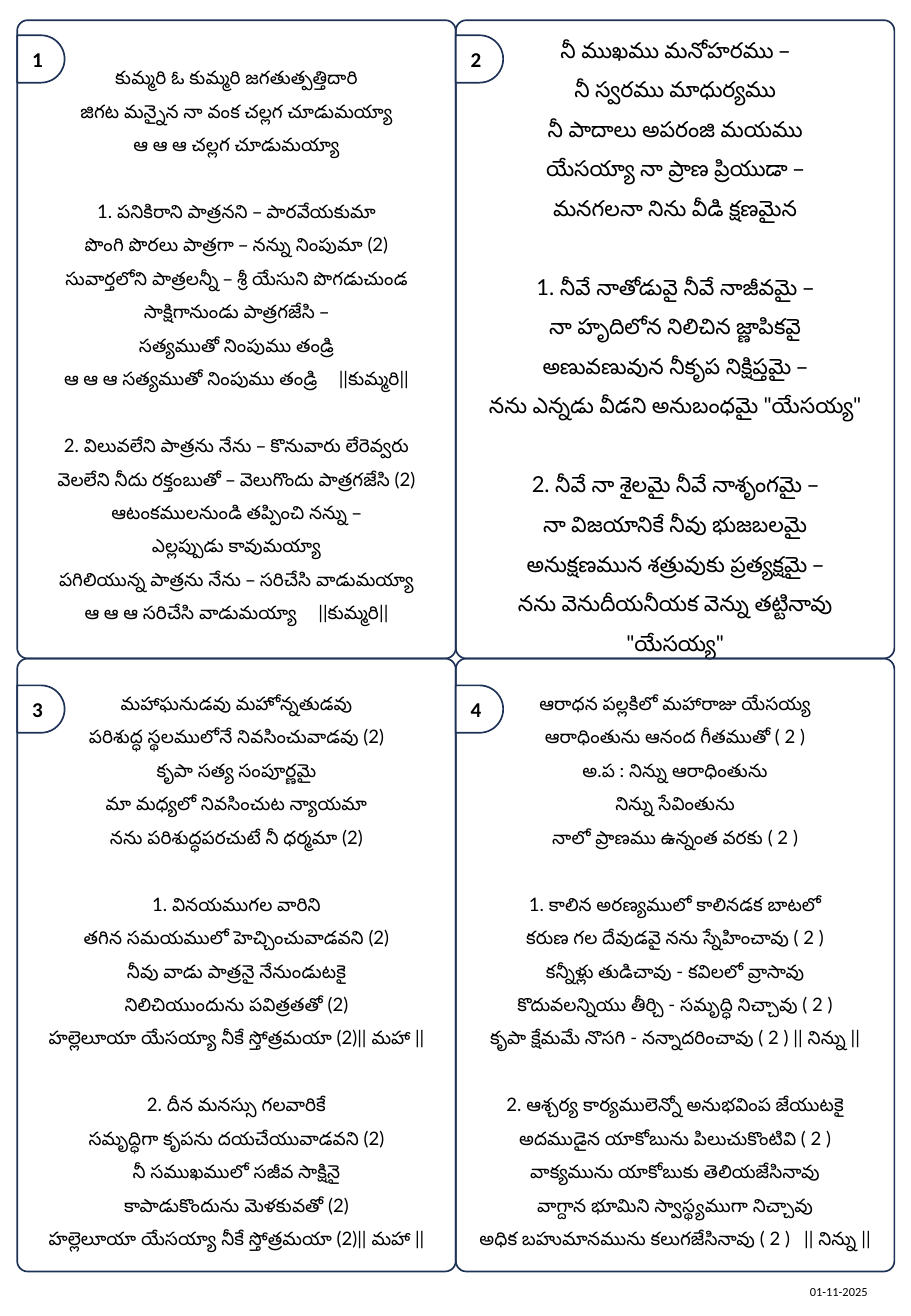
from dataclasses import dataclass

from pptx import Presentation
from pptx.dml.color import RGBColor
from pptx.enum.shapes import MSO_SHAPE
from pptx.enum.text import MSO_ANCHOR, PP_ALIGN
from pptx.shapes.autoshape import Shape
from pptx.slide import Slide
from pptx.text.text import TextFrame, _Paragraph
from pptx.util import Pt


@dataclass(frozen=True)
class Theme:
    ink: RGBColor = RGBColor(0x00, 0x00, 0x00)
    paper: RGBColor = RGBColor(0xFF, 0xFF, 0xFF)
    border: RGBColor = RGBColor(0x1E, 0x32, 0x56)
    lyric_font: str = "Lato"
    label_font: str = "Calibri"
    badge_size: float = 12.5
    date_size: float = 7.3
    border_width: float = 1
    line_spacing: float = 1.5
    single_line: float = 1.2
    corner: float = 0.024


@dataclass(frozen=True)
class Row:
    top: float
    height: float
    badge_top: float


@dataclass(frozen=True)
class Song:
    """Stanzas hold one line of text per line; a tab sets off the refrain."""
    size: float
    stanzas: tuple[str, ...]
    refrain_gap: float = 0


THEME = Theme()
LEFT, COLUMN_WIDTH, BADGE_SIDE = 10.2, 260, 28.1
ROWS = (Row(12, 378.2, 20.9), Row(390.2, 363.2, 406.1))

# Songs, in reading order
SONGS = (
    Song(11, (
        """కుమ్మరి ఓ కుమ్మరి జగతుత్పత్తిదారి
జిగట మన్నైన నా వంక చల్లగ చూడుమయ్యా
ఆ ఆ ఆ చల్లగ చూడుమయ్యా""",
        """1. పనికిరాని పాత్రనని – పారవేయకుమా
పొంగి పొరలు పాత్రగా – నన్ను నింపుమా (2)
సువార్తలోని పాత్రలన్నీ – శ్రీ యేసుని పొగడుచుండ
సాక్షిగానుండు పాత్రగజేసి –
సత్యముతో నింపుము తండ్రి
ఆ ఆ ఆ సత్యముతో నింపుము తండ్రి\t||కుమ్మరి||""",
        """2. విలువలేని పాత్రను నేను – కొనువారు లేరెవ్వరు
వెలలేని నీదు రక్తంబుతో – వెలుగొందు పాత్రగజేసి (2)
ఆటంకములనుండి తప్పించి నన్ను –
ఎల్లప్పుడు కావుమయ్యా
పగిలియున్న పాత్రను నేను – సరిచేసి వాడుమయ్యా
ఆ ఆ ఆ సరిచేసి వాడుమయ్యా\t||కుమ్మరి||""",
    ), refrain_gap=10),
    Song(13, (
        """నీ ముఖము మనోహరము –
నీ స్వరము మాధుర్యము
నీ పాదాలు అపరంజి మయము
యేసయ్యా నా ప్రాణ ప్రియుడా –
మనగలనా నిను వీడి క్షణమైన""",
        """1. నీవే నాతోడువై నీవే నాజీవమై –
నా హృదిలోన నిలిచిన జ్ణాపికవై
అణువణువున నీకృప నిక్షిప్తమై –
నను ఎన్నడు వీడని అనుబంధమై "యేసయ్య\"""",
        """2. నీవే నా శైలమై నీవే నాశృంగమై –
నా విజయానికే నీవు భుజబలమై
అనుక్షణమున శత్రువుకు ప్రత్యక్షమై –
నను వెనుదీయనీయక వెన్ను తట్టినావు "యేసయ్య\"""",
    )),
    Song(11, (
        """మహాఘనుడవు మహోన్నతుడవు
పరిశుద్ధ స్థలములోనే నివసించువాడవు (2)
కృపా సత్య సంపూర్ణమై
మా మధ్యలో నివసించుట న్యాయమా
నను పరిశుద్ధపరచుటే నీ ధర్మమా (2)""",
        """1. వినయముగల వారిని
తగిన సమయములో హెచ్చించువాడవని (2)
నీవు వాడు పాత్రనై నేనుండుటకై
నిలిచియుందును పవిత్రతతో (2)
హల్లెలూయా యేసయ్యా నీకే స్తోత్రమయా (2)|| మహా ||""",
        """2. దీన మనస్సు గలవారికే
సమృద్ధిగా కృపను దయచేయువాడవని (2)
నీ సముఖములో సజీవ సాక్షినై
కాపాడుకొందును మెళకువతో (2)
హల్లెలూయా యేసయ్యా నీకే స్తోత్రమయా (2)|| మహా ||""",
    )),
    Song(11, (
        """ఆరాధన పల్లకిలో మహారాజు యేసయ్య
ఆరాధింతును ఆనంద గీతముతో ( 2 )
అ.ప : నిన్ను ఆరాధింతును
నిన్ను సేవింతును
నాలో ప్రాణము ఉన్నంత వరకు ( 2 )""",
        """1. కాలిన అరణ్యములో కాలినడక బాటలో
కరుణ గల దేవుడవై నను స్నేహించావు ( 2 )
కన్నీళ్లు తుడిచావు - కవిలలో వ్రాసావు
కొదువలన్నియు తీర్చి - సమృద్ధి నిచ్చావు ( 2 )
కృపా క్షేమమే నొసగి - నన్నాదరించావు ( 2 ) || నిన్ను ||""",
        """2. ఆశ్చర్య కార్యములెన్నో అనుభవింప జేయుటకై
అదముడైన యాకోబును పిలుచుకొంటివి ( 2 )
వాక్యమును యాకోబుకు తెలియజేసినావు
వాగ్దాన భూమిని స్వాస్థ్యముగా నిచ్చావు
అధిక బహుమానమును కలుగజేసినావు ( 2 )\t|| నిన్ను ||""",
    ), refrain_gap=5.5),
)


def add_span(para: _Paragraph, text: str, *, size: float, font: str,
             bold: bool = False, tracking: float = 0) -> None:
    para.alignment = PP_ALIGN.CENTER
    span = para.add_run()
    span.text = text
    span.font.name = font
    span.font.size = Pt(size)
    span.font.bold = bold
    span.font.color.rgb = THEME.ink
    if tracking:
        span._r.get_or_add_rPr().set("spc", str(round(tracking * 100)))


def add_panel(page: Slide, kind: MSO_SHAPE, left: float, top: float,
              width: float, height: float, *, outlined: bool = True,
              filled: bool = False) -> Shape:
    panel = page.shapes.add_shape(kind, Pt(left), Pt(top), Pt(width), Pt(height))
    panel.shadow.inherit = False
    if kind == MSO_SHAPE.ROUNDED_RECTANGLE:
        panel.adjustments[0] = THEME.corner
    if filled:
        panel.fill.solid()
        panel.fill.fore_color.rgb = THEME.paper
    else:
        panel.fill.background()
    if outlined:
        panel.line.color.rgb = THEME.border
        panel.line.width = Pt(THEME.border_width)
    else:
        panel.line.fill.background()
    panel.text_frame.vertical_anchor = MSO_ANCHOR.MIDDLE
    return panel


def write_song(frame: TextFrame, song: Song) -> None:
    frame.word_wrap = True
    para = frame.paragraphs[0]
    for stanza_index, stanza in enumerate(song.stanzas):
        for line_index, line in enumerate(stanza.splitlines()):
            if stanza_index or line_index:
                para = frame.add_paragraph()
            para.line_spacing = THEME.line_spacing
            if stanza_index and not line_index:
                para.space_before = Pt(song.size * THEME.single_line * THEME.line_spacing)
            verse, _, refrain = line.partition("\t")
            add_span(para, verse, size=song.size, font=THEME.lyric_font)
            if refrain:
                add_span(para, " ", size=song.size, font=THEME.lyric_font,
                         tracking=song.refrain_gap)
                add_span(para, refrain, size=song.size, font=THEME.lyric_font)


def add_song(page: Slide, number: int, song: Song) -> None:
    row_index, column = divmod(number - 1, 2)
    row = ROWS[row_index]
    left = LEFT + column * COLUMN_WIDTH
    area = (left, row.top, COLUMN_WIDTH, row.height)
    # Border, number badge, lyrics
    add_panel(page, MSO_SHAPE.ROUNDED_RECTANGLE, *area)
    badge = add_panel(page, MSO_SHAPE.FLOWCHART_DELAY, left, row.badge_top,
                      BADGE_SIDE, BADGE_SIDE, filled=True)
    add_span(badge.text_frame.paragraphs[0], str(number), size=THEME.badge_size,
             font=THEME.label_font, bold=True)
    lyrics = add_panel(page, MSO_SHAPE.ROUNDED_RECTANGLE, *area, outlined=False)
    write_song(lyrics.text_frame, song)


def add_date(page: Slide, text: str) -> None:
    box = page.shapes.add_textbox(Pt(436.3), Pt(744.5), Pt(121.7), Pt(41.8))
    frame = box.text_frame
    frame.word_wrap = True
    frame.vertical_anchor = MSO_ANCHOR.MIDDLE
    frame.margin_left = frame.margin_right = Pt(3.6)
    frame.margin_top = frame.margin_bottom = Pt(1.44)
    add_span(frame.paragraphs[0], text, size=THEME.date_size, font=THEME.label_font)


def main() -> None:
    deck = Presentation()
    deck.slide_width, deck.slide_height = Pt(540), Pt(779.76)
    page = deck.slides.add_slide(deck.slide_layouts[6])
    add_date(page, "01-11-2025")
    for number, song in enumerate(SONGS, start=1):
        add_song(page, number, song)
    deck.save("out.pptx")


if __name__ == "__main__":
    main()
